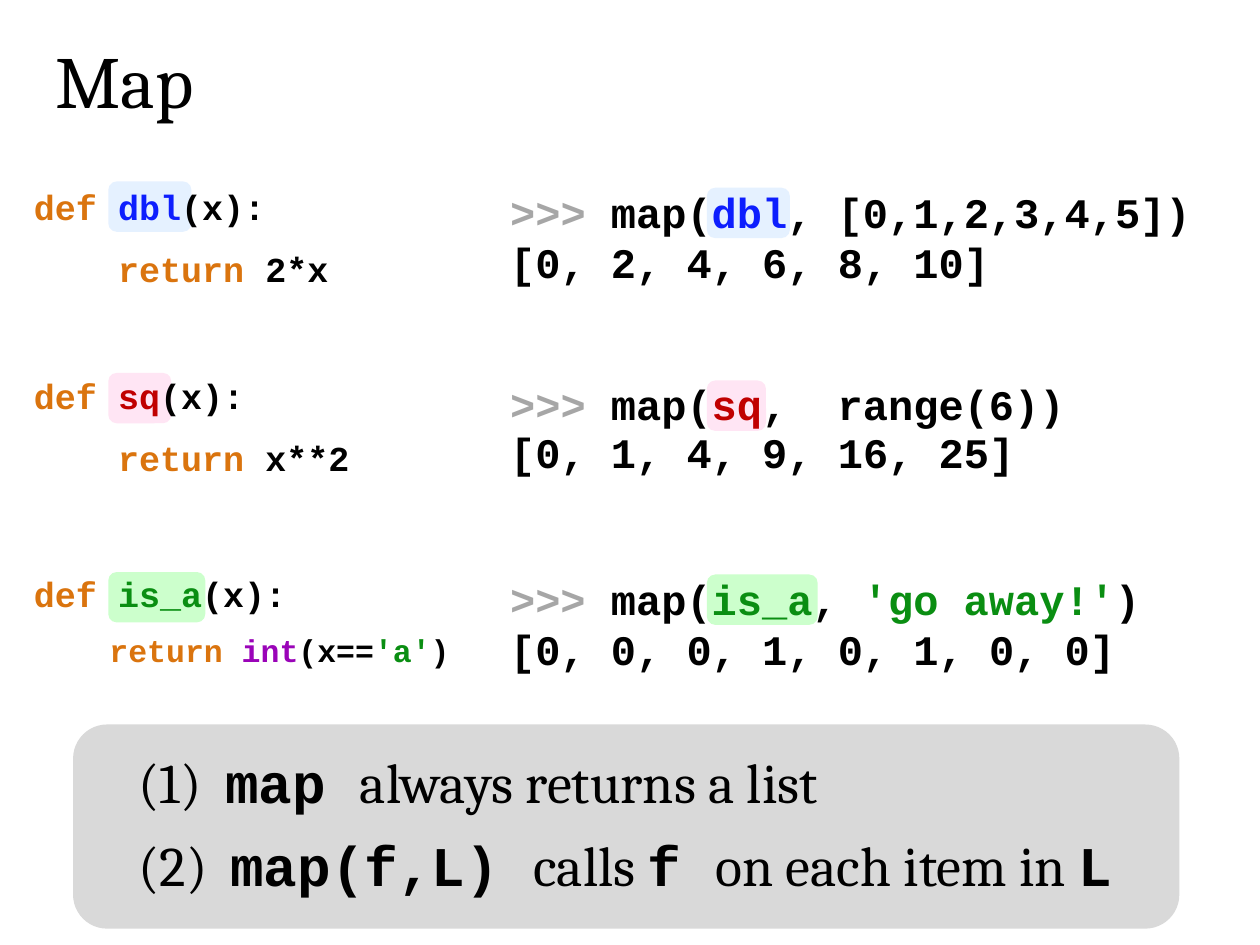
from lxml import etree
from pptx import Presentation
from pptx.dml.color import RGBColor
from pptx.enum import shapes, text
from pptx.oxml.ns import qn
from pptx.util import Inches, Pt

BLACK = RGBColor(0x00, 0x00, 0x00)
PROMPT_GRAY = RGBColor(0xA6, 0xA6, 0xA6)
PANEL_GRAY = RGBColor(0xD9, 0xD9, 0xD9)
ORANGE = RGBColor(0xDA, 0x74, 0x0E)
PURPLE = RGBColor(0x9A, 0x04, 0xB8)
BLUE = RGBColor(0x0D, 0x1E, 0xFE)
RED = RGBColor(0xC0, 0x00, 0x00)
GREEN = RGBColor(0x0A, 0x8E, 0x12)
PALE_BLUE = RGBColor(0xE5, 0xF1, 0xFF)
PALE_PINK = RGBColor(0xFF, 0xE5, 0xF4)
PALE_GREEN = RGBColor(0xCC, 0xFF, 0xCC)

SERIF, MONO = "Cambria", "Courier New"
DEF_LEFT, CALL_LEFT = 0.17, 3.95
DEF_MARK_LEFT, CALL_MARK_LEFT = 0.86, 5.61
MARK_HEIGHT = 0.4


def add_rounded(page, left, top, width, height, color):
    shape = page.shapes.add_shape(
        shapes.MSO_SHAPE.ROUNDED_RECTANGLE,
        Inches(left), Inches(top), Inches(width), Inches(height))
    shape.shadow.inherit = False
    shape.fill.solid()
    shape.fill.fore_color.rgb = color
    shape.line.fill.background()


def add_box(page, left, top, width, height):
    """Add an empty text box and return its text frame."""
    frame = page.shapes.add_textbox(
        Inches(left), Inches(top), Inches(width), Inches(height)).text_frame
    frame.word_wrap = True
    frame.auto_size = text.MSO_AUTO_SIZE.SHAPE_TO_FIT_TEXT
    return frame


def add_span(para, words, size, color=BLACK, font=MONO, bold=True):
    span = para.add_run()
    span.text = words
    span.font.name = font
    span.font.size = Pt(size)
    span.font.bold = bold
    span.font.color.rgb = color


def add_code(page, place, lines, sizes, spacing=1.0, gap=0):
    """Write lines of (words, color) spans, with gap points between lines."""
    frame = add_box(page, *place)
    for index, (line, size) in enumerate(zip(lines, sizes)):
        para = frame.add_paragraph() if index else frame.paragraphs[0]
        para.line_spacing = spacing
        para.space_before = Pt(gap if index else 0)
        for words, color in line:
            add_span(para, words, size, color)


def add_definition(page, top, width, height, name, color, body, body_size=20, spacing=1.0):
    head = [("def ", ORANGE), (name, color), ("(x):", BLACK)]
    add_code(page, (DEF_LEFT, top, width, height),
             [head, [("    ", BLACK)] + body], (20, body_size), spacing, gap=11.5)


def add_call(page, place, name, color, arguments, result, spacing=1.0, gap=0):
    call = [(">>> ", PROMPT_GRAY), ("map(", BLACK), (name, color)] + arguments
    add_code(page, (CALL_LEFT, *place), [call, [(result, BLACK)]], (24, 24), spacing, gap)


def add_note(page, top, width, number, indent, spans):
    """Write a numbered note whose words start at a hanging indent."""
    para = add_box(page, 1, top, width, 0.65).paragraphs[0]
    properties = para._p.get_or_add_pPr()
    properties.set("marL", str(Inches(indent)))
    properties.set("indent", str(-Inches(indent)))
    tabs = etree.SubElement(properties, qn("a:tabLst"))
    etree.SubElement(tabs, qn("a:tab"), pos=str(Inches(indent)), algn="l")
    add_span(para, number + "\t", 32, font=SERIF, bold=False)
    for words, font in spans:
        add_span(para, words, 32, font=font, bold=font == MONO)


def add_marks(page):
    """Tint each function name in its definition and in its call."""
    marks = [
        (PALE_BLUE, 1.44, 0.66, 1.49, 0.66),
        (PALE_PINK, 2.96, 0.5, 3.02, 0.47),
        (PALE_GREEN, 4.54, 0.77, 4.56, 0.88),
    ]
    for color, def_top, def_width, call_top, call_width in marks:
        add_rounded(page, DEF_MARK_LEFT, def_top, def_width, MARK_HEIGHT, color)
        add_rounded(page, CALL_MARK_LEFT, call_top, call_width, MARK_HEIGHT, color)


def main():
    deck = Presentation()
    deck.slide_width, deck.slide_height = Inches(10), Inches(7.5)
    page = deck.slides.add_slide(deck.slide_layouts[6])

    add_rounded(page, 0.58, 5.75, 8.78, 1.62, PANEL_GRAY)
    add_marks(page)
    title = add_box(page, 0.34, 0.23, 1.99, 0.8).paragraphs[0]
    add_span(title, "Map", 42, font=SERIF, bold=False)

    add_definition(page, 1.42, 3.25, 0.93, "dbl", BLUE,
                   [("return", ORANGE), (" 2*x", BLACK)])
    add_definition(page, 2.92, 3.25, 0.93, "sq", RED,
                   [("return", ORANGE), (" x**2", BLACK)])
    add_definition(page, 4.53, 3.58, 0.83, "is_a", GREEN,
                   [("return ", ORANGE), ("int", PURPLE), ("(x==", BLACK),
                    ("'a'", GREEN), (")", BLACK)], body_size=18, spacing=0.9)

    add_call(page, (1.43, 5.71, 0.91), "dbl", BLUE,
             [(", [0,1,2,3,4,5])", BLACK)], "[0, 2, 4, 6, 8, 10]")
    add_call(page, (3.13, 4.88, 0.71), "sq", RED,
             [(",  range(6))", BLACK)], "[0, 1, 4, 9, 16, 25]", spacing=0.5, gap=13)
    add_call(page, (4.5, 5.37, 0.91), "is_a", GREEN,
             [(", ", BLACK), ("'go away!'", GREEN), (")", BLACK)],
             "[0, 0, 0, 1, 0, 1, 0, 0]")

    add_note(page, 5.88, 5.85, "(1)", 0.69,
             [("map ", MONO), ("always returns a list", SERIF)])
    add_note(page, 6.54, 8.33, "(2)", 0.73,
             [("map(f,L) ", MONO), ("calls ", SERIF), ("f ", MONO),
              ("on each item in ", SERIF), ("L", MONO)])

    deck.save("out.pptx")


if __name__ == "__main__":
    main()
